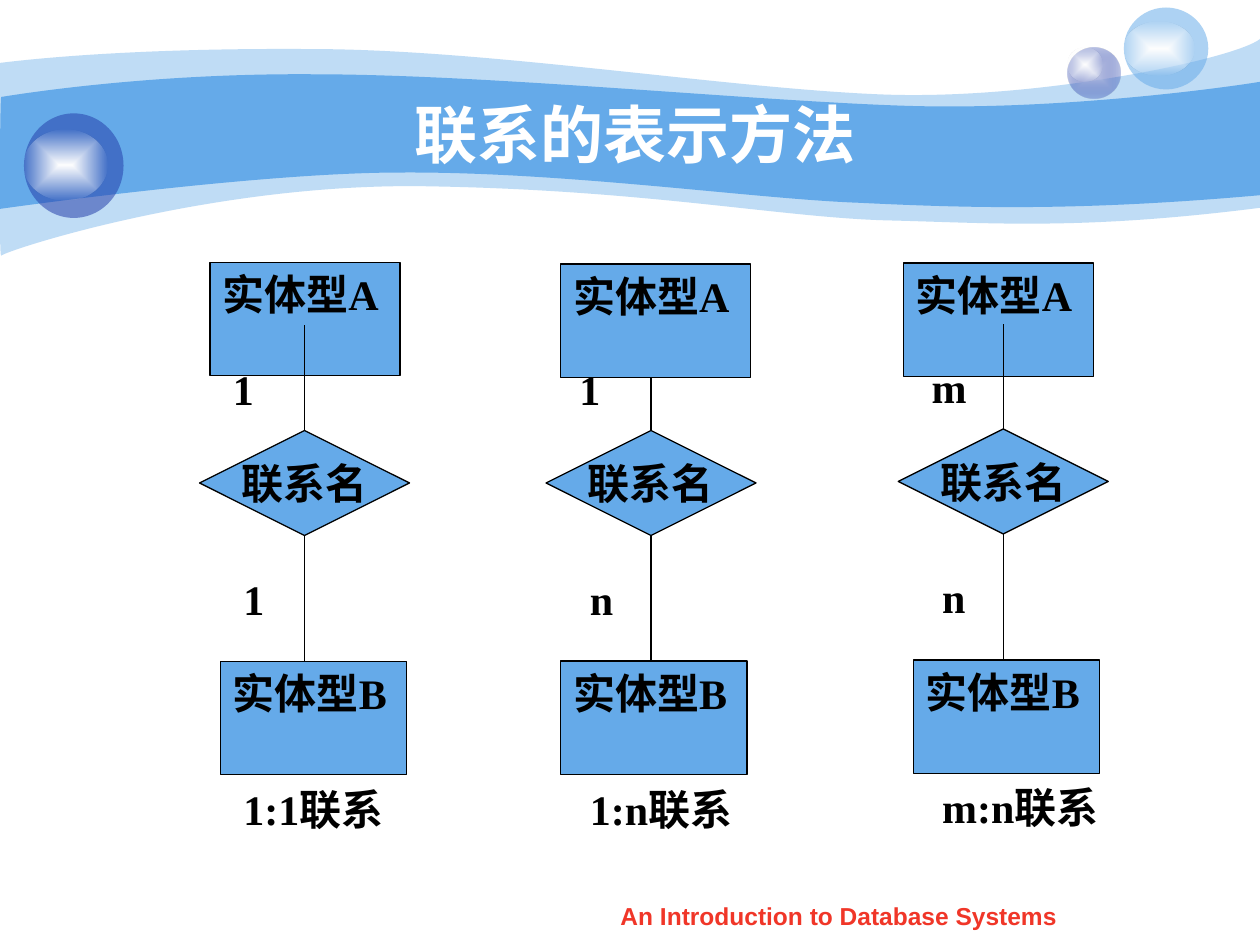
import dataclasses

import lxml.etree
import pptx
import pptx.dml.color
import pptx.enum.shapes
import pptx.enum.text
import pptx.oxml
import pptx.oxml.ns
import pptx.util

COLORS = {
    "sky": "65AAE9", "navy": "233DA9", "lilac": "C6CCE8", "white": "FFFFFF",
    "glow": "FEFEFE", "black": "000000", "red": "F03628",
}
GRID = pptx.util.Inches(1) // 12
SHAPES = pptx.enum.shapes.MSO_SHAPE
CENTER = pptx.enum.text.PP_ALIGN.CENTER
LEFT = pptx.enum.text.PP_ALIGN.LEFT
MIDDLE = pptx.enum.text.MSO_ANCHOR.MIDDLE
TOP = pptx.enum.text.MSO_ANCHOR.TOP

Point = tuple[float, float]
Box = tuple[float, float, float, float]
Stop = tuple[str, int]


@dataclasses.dataclass
class Wave:
    start: Point
    segments: list[tuple[float, ...]]
    opacity: int


@dataclasses.dataclass
class Ball:
    box: Box
    stops: list[Stop]


@dataclasses.dataclass
class Relation:
    axis: float
    shift: float
    upper: Point
    lower: Point
    marks: tuple[str, str]
    caption: str
    caption_rows: float
    entity_in_front: bool


WAVES = [
    Wave((0, 0.5), [
        (0.24, 0.47, 1.07, 0.38, 2.47, 0.39), (3.86, 0.39, 5.75, 0.7, 6.99, 0.75),
        (8.22, 0.8, 9.8, 0.47, 10, 0.31), (10, 1.65),
        (8.58, 1.83, 7.87, 1.77, 7.05, 1.75), (6.22, 1.73, 5.15, 1.51, 3.43, 1.48),
        (1.72, 1.44, 0.04, 1.99, 0.01, 2.03), (-0.01, 2.08, 0, 0.75, 0, 0.5)], 41),
    Wave((0.01, 0.77), [
        (0.02, 0.77, 1.1, 0.58, 2.48, 0.59), (3.86, 0.59, 5.95, 0.8, 7.18, 0.84),
        (8.41, 0.88, 9.76, 0.69, 10, 0.65), (10, 1.55),
        (8.53, 1.68, 7.65, 1.65, 6.82, 1.61), (5.99, 1.58, 4.47, 1.36, 3.17, 1.37),
        (2.03, 1.37, -0.02, 1.66, -0.01, 1.66), (0, 1.66, 0, 0.77, 0.01, 0.77)], 100),
]
SHINE = [("white", 100), ("glow", 0)]
BALLS = [
    Ball((8.47, 0.38, 0.42, 0.4), [("lilac", 100), ("navy", 31)]),
    Ball((8.47, 0.38, 0.28, 0.27), SHINE),
    Ball((8.92, 0.06, 0.67, 0.65), [("sky", 53)]),
    Ball((8.92, 0.17, 0.56, 0.43), SHINE),
    Ball((0.19, 0.9, 0.79, 0.83), [("navy", 53)]),
    Ball((0.19, 1.03, 0.66, 0.56), SHINE),
]
RELATIONS = [
    Relation(29, 0, (20, 25), (21, 63), ("1", "1"), "1:1联系", 6, False),
    Relation(62, 0, (53.4, 25.15), (53.4, 62.95), ("1", "n"), "1:n联系", 6, True),
    Relation(95.55, -0.15, (86.05, 25.05), (87, 62.85), ("m", "n"), "m:n联系", 10.8, False),
]


def cells(*values: float) -> list[int]:
    return [round(value * GRID) for value in values]


def inches(*values: float) -> list[int]:
    return [pptx.util.Inches(value) for value in values]


def rgb(name: str) -> pptx.dml.color.RGBColor:
    return pptx.dml.color.RGBColor.from_string(COLORS[name])


def set_fill(shape, stops: list[Stop]) -> None:
    colors = [
        f'<a:srgbClr val="{COLORS[name]}"><a:alpha val="{opacity * 1000}"/></a:srgbClr>'
        for name, opacity in stops
    ]
    namespace = pptx.oxml.ns.nsdecls("a")
    if len(colors) == 1:
        markup = f"<a:solidFill {namespace}>{colors[0]}</a:solidFill>"
    else:
        markup = (
            f'<a:gradFill {namespace} rotWithShape="1"><a:gsLst><a:gs pos="0">{colors[0]}</a:gs>'
            f'<a:gs pos="100000">{colors[1]}</a:gs></a:gsLst><a:path path="rect">'
            '<a:fillToRect l="50000" t="50000" r="50000" b="50000"/></a:path></a:gradFill>'
        )
    shape.fill.background()
    properties = shape._element.spPr
    empty_fill = properties.find(pptx.oxml.ns.qn("a:noFill"))
    properties.replace(empty_fill, pptx.oxml.parse_xml(markup))
    shape.line.fill.background()
    shape.shadow.inherit = False


def draw_wave(slide, wave: Wave) -> None:
    points = [
        inches(*segment[index:index + 2])
        for segment in wave.segments for index in range(0, len(segment), 2)
    ]
    builder = slide.shapes.build_freeform(*inches(*wave.start))
    builder.add_line_segments(points, close=True)
    shape = builder.convert_to_shape()
    lines = iter(list(shape._element.iter(pptx.oxml.ns.qn("a:lnTo"))))
    for segment in wave.segments:
        line = next(lines)
        if len(segment) == 6:
            curve = lxml.etree.Element(pptx.oxml.ns.qn("a:cubicBezTo"))
            line.addprevious(curve)
            for part in (line, next(lines), next(lines)):
                curve.append(part[0])
                part.getparent().remove(part)
    set_fill(shape, [("sky", wave.opacity)])


def draw_ball(slide, ball: Ball) -> None:
    shape = slide.shapes.add_shape(SHAPES.OVAL, *inches(*ball.box))
    set_fill(shape, ball.stops)


def write(shape, text: str, size: int = 24, font: str = "Times New Roman",
          color: str = "black", align=LEFT, anchor=TOP, wrap: bool = True) -> None:
    frame = shape.text_frame
    frame.word_wrap = wrap
    frame.vertical_anchor = anchor
    paragraph = frame.paragraphs[0]
    paragraph.text = text
    paragraph.alignment = align
    paragraph.font.size = pptx.util.Pt(size)
    paragraph.font.name = font
    paragraph.font.bold = True
    paragraph.font.color.rgb = rgb(color)


def draw_label(slide, box: Box, text: str, **style) -> None:
    write(slide.shapes.add_textbox(*cells(*box)), text, **style)


def draw_node(slide, preset, box: Box, text: str, **style) -> None:
    shape = slide.shapes.add_shape(preset, *cells(*box))
    set_fill(shape, [("sky", 100)])
    shape.line.color.rgb = rgb("black")
    shape.line.width = pptx.util.Pt(0.75)
    write(shape, text, **style)


def draw_link(slide, column: float, start: float, end: float) -> None:
    connector = slide.shapes.add_connector(
        pptx.enum.shapes.MSO_CONNECTOR.STRAIGHT, *cells(column, start, column, end))
    connector.line.color.rgb = rgb("black")
    connector.line.width = pptx.util.Pt(0.75)
    lxml.etree.SubElement(connector._element.spPr, pptx.oxml.ns.qn("a:effectLst"))


def draw_relation(slide, relation: Relation) -> None:
    axis, shift = relation.axis, relation.shift

    def draw_upper_entity() -> None:
        draw_node(slide, SHAPES.RECTANGLE, (*relation.upper, 18.1, 10.8), "实体型A")

    if not relation.entity_in_front:
        draw_upper_entity()
    draw_node(slide, SHAPES.DIAMOND, (axis - 10, 41 + shift, 20, 10), "联系名",
              align=CENTER, anchor=MIDDLE, wrap=False)
    draw_link(slide, axis, 41 + shift, 31 + shift)
    draw_link(slide, axis, 51 + shift, 63 + shift)
    draw_label(slide, (axis - 8, 34 + shift, 5, 6), relation.marks[0])
    draw_label(slide, (axis - 7, 54 + shift, 5, 6), relation.marks[1])
    draw_label(slide, (axis - 7, 74 + shift, 18, relation.caption_rows), relation.caption)
    if relation.entity_in_front:
        draw_upper_entity()
    draw_node(slide, SHAPES.RECTANGLE, (*relation.lower, 17.75, 10.8), "实体型B")


def main() -> None:
    presentation = pptx.Presentation()
    presentation.slide_width, presentation.slide_height = cells(120, 90)
    slide = presentation.slides.add_slide(presentation.slide_layouts[6])
    for wave in WAVES:
        draw_wave(slide, wave)
    for ball in BALLS:
        draw_ball(slide, ball)
    draw_label(slide, (12, 9, 97, 7.4), "联系的表示方法", size=36, font="Arial",
               color="white", align=CENTER, anchor=MIDDLE)
    for relation in RELATIONS:
        draw_relation(slide, relation)
    draw_label(slide, (41.15, 85.2, 77.5, 4.2), "An Introduction to Database Systems",
               size=14, font="Arial", color="red", align=CENTER)
    presentation.save("out.pptx")


if __name__ == "__main__":
    main()
